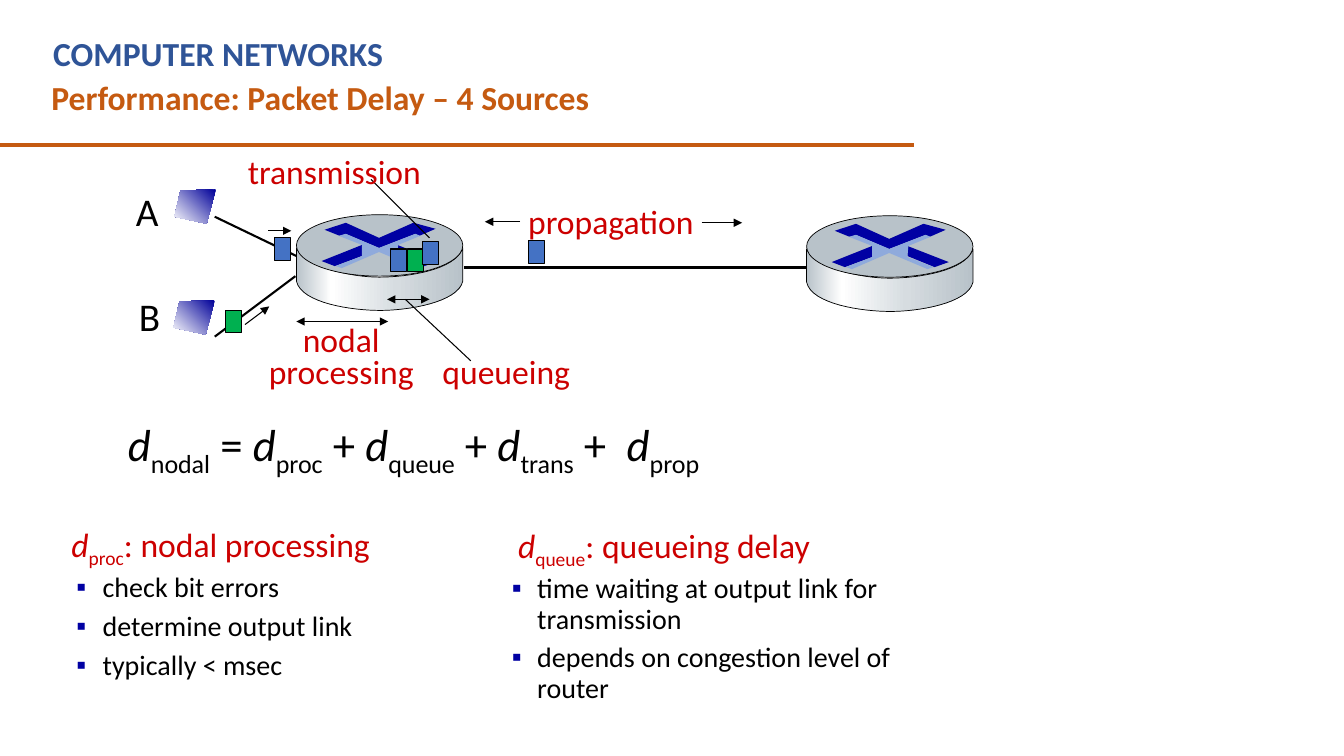
from lxml import etree
from pptx import Presentation
from pptx.dml.color import RGBColor
from pptx.enum import shapes, text
from pptx.oxml import ns
from pptx.util import Inches, Pt

ORANGE = RGBColor(0xC5, 0x5A, 0x11)
HEADING_BLUE = RGBColor(0x2F, 0x54, 0x97)
RED = RGBColor(0xCC, 0x00, 0x00)
BLACK = RGBColor(0, 0, 0)
NAVY = RGBColor(0x00, 0x00, 0xA3)
PALE_BLUE = RGBColor(0x8F, 0xAA, 0xDC)
GREY = RGBColor(0xB8, 0xC2, 0xC9)
PACKET_BLUE = RGBColor(0x44, 0x72, 0xC4)
PACKET_GREEN = RGBColor(0x00, 0xB0, 0x50)

TITLE = "Performance: Packet Delay – 4 Sources"
COURSE = "COMPUTER NETWORKS"
LABELS = [
    (["propagation"], 5.14, 1.94, 1.86, 0.5, 24, RED),
    (["nodal", "processing"], 2.56, 3.19, 1.65, 0.76, 24, RED),
    (["queueing"], 4.29, 3.43, 1.48, 0.5, 24, RED),
    (["transmission"], 2.36, 1.45, 1.93, 0.5, 24, RED),
    (["A"], 1.25, 1.81, 0.43, 0.57, 28, BLACK),
    (["B"], 1.28, 2.85, 0.42, 0.57, 28, BLACK),
]
FORMULA = [("d", "nodal"), (" = ", ""), ("d", "proc"), (" + ", ""), ("d", "queue"),
           (" + ", ""), ("d", "trans"), (" +  ", ""), ("d", "prop")]
DELAYS = [
    ("proc", ": nodal processing", 0.54, 5.15, 4.17, 2.01, 0.07, 0.38, 0.26,
     ["check bit errors", "determine output link", "typically < msec"]),
    ("queue", ": queueing delay", 4.98, 5.16, 4.67, 1.52, 0.06, 0.25, 0.25,
     ["time waiting at output link for transmission",
      "depends on congestion level of router"]),
]
LINES = [
    (-0.01, 1.44, 9.07, 1.44, 3, ORANGE, ""),
    (2.13, 2.15, 2.94, 2.54, 1.5, BLACK, ""),
    (2.13, 3.34, 2.93, 2.74, 1.5, BLACK, ""),
    (4.6, 2.65, 8, 2.65, 2, BLACK, ""),
    (6.96, 2.21, 7.36, 2.21, 0.75, BLACK, "tail"),
    (5.16, 2.2, 4.81, 2.2, 0.75, BLACK, "tail"),
    (3.85, 3.19, 2.94, 3.19, 0.75, BLACK, "head tail"),
    (4.26, 2.97, 3.84, 2.97, 0.75, BLACK, "head tail"),
    (2.66, 2.29, 2.89, 2.29, 0.75, BLACK, "tail"),
    (2.43, 3.22, 2.67, 3.04, 0.75, BLACK, "tail"),
    (4.67, 3.58, 4.02, 2.97, 0.75, BLACK, ""),
    (3.68, 1.78, 4.26, 2.36, 0.75, BLACK, ""),
]
PACKETS = [(5.24, 2.39, PACKET_BLUE), (3.87, 2.47, PACKET_BLUE), (4.04, 2.47, PACKET_GREEN),
           (4.19, 2.4, PACKET_BLUE), (2.72, 2.36, PACKET_BLUE), (2.24, 3.08, PACKET_GREEN)]
ROUTERS = [(2.94, 2.13), (8, 2.14)]
LAPTOPS = [(1.73, 1.88), (1.72, 2.98)]
LAPTOP = [(0.41, 0), (0.06, 0.01), (0, 0.27), (0.32, 0.34)]
ROUTER_SIDE = [(1.65, 0.33), (1.65, 0.66), (1.6, 0.87, 1.11, 0.95, 0.83, 0.95),
               (0.56, 0.95, 0.05, 0.88, 0, 0.66), (0, 0.33),
               (0.08, 0.52, 0.55, 0.62, 0.82, 0.62), (1.1, 0.62, 1.58, 0.55, 1.65, 0.33)]
ROUTER_MARKS = [
    (NAVY, [(1.16, 0.08), (1.38, 0.14), (1.22, 0.21), (1.18, 0.19), (0.82, 0.33), (0.49, 0.19),
            (0.43, 0.21), (0.28, 0.15), (0.49, 0.08), (0.82, 0.23)]),
    (NAVY, [(1, 0.3), (1.41, 0.46), (1.27, 0.51), (1, 0.4)]),
    (NAVY, [(0.65, 0.3), (0.65, 0.41), (0.38, 0.51), (0.25, 0.46)]),
    (PALE_BLUE, [(0.42, 0.21), (0.49, 0.19), (0.82, 0.33), (1.18, 0.19), (1.23, 0.21), (1.01, 0.3),
                 (1, 0.41), (1.26, 0.51), (1.2, 0.53), (0.82, 0.37), (0.45, 0.53), (0.39, 0.51),
                 (0.65, 0.41), (0.65, 0.3)]),
]
SIDE_STOPS = [(0, "B8C2C9"), (21, "FFFFFF"), (60, "D6DCE0"), (100, "B8C2C9")]
LAPTOP_STOPS = [(0, "000099"), (100, "FFFFFF")]

presentation = Presentation()
presentation.slide_width, presentation.slide_height = Inches(13.33), Inches(7.5)
slide = presentation.slides.add_slide(presentation.slide_layouts[5])


def child(parent, tag, **attributes):
    return etree.SubElement(parent, ns.qn(tag), attributes)


def style_font(font, size, color, bold=False):
    font.name, font.size, font.bold = "Calibri", Pt(size), bold
    font.color.rgb = color


def style_shape(shape, color=None, width=0):
    shape.shadow.inherit = False
    if color is not None:
        shape.fill.solid()
        shape.fill.fore_color.rgb = color
    if width:
        shape.line.color.rgb = BLACK
        shape.line.width = Pt(width)
    else:
        shape.line.fill.background()


def set_gradient(shape, stops, angle):
    shape.fill.gradient()
    gradient = shape._element.spPr.find(ns.qn("a:gradFill"))
    for element in list(gradient):
        gradient.remove(element)
    stop_list = child(gradient, "a:gsLst")
    for position, color in stops:
        child(child(stop_list, "a:gs", pos=str(position * 1000)), "a:srgbClr", val=color)
    child(gradient, "a:lin", ang=str(angle * 60000), scaled="0")


def add_textbox(left, top, width, height, wrap=True):
    shape = slide.shapes.add_textbox(*map(Inches, (left, top, width, height)))
    shape.text_frame.word_wrap = wrap
    return shape.text_frame


def flatten(points, steps=16):
    result = []
    for point in points:
        if len(point) == 2:
            result.append(point)
            continue
        curve = [result[-1], point[:2], point[2:4], point[4:]]
        for step in range(1, steps + 1):
            t = step / steps
            weights = ((1 - t) ** 3, 3 * t * (1 - t) ** 2, 3 * t * t * (1 - t), t ** 3)
            result.append(tuple(sum(w * p[axis] for w, p in zip(weights, curve)) for axis in (0, 1)))
    return result


def add_outline(left, top, points):
    corners = [(Inches(left + x), Inches(top + y)) for x, y in flatten(points)]
    builder = slide.shapes.build_freeform(*corners[0])
    builder.add_line_segments(corners[1:], close=True)
    return builder.convert_to_shape()


def add_router(left, top):
    side = add_outline(left, top, ROUTER_SIDE)
    style_shape(side, width=0.5)
    set_gradient(side, SIDE_STOPS, 0)
    lid = slide.shapes.add_shape(shapes.MSO_SHAPE.OVAL, *map(Inches, (left, top, 1.65, 0.61)))
    style_shape(lid, GREY, 0.5)
    for color, points in ROUTER_MARKS:
        style_shape(add_outline(left, top, points), color)


def add_line(x1, y1, x2, y2, width, color, heads):
    line = slide.shapes.add_connector(shapes.MSO_CONNECTOR.STRAIGHT, *map(Inches, (x1, y1, x2, y2)))
    line.line.color.rgb = color
    line.line.width = Pt(width)
    for end in heads.split():
        child(line.line._get_or_add_ln(), f"a:{end}End", type="triangle")
    child(line._element.spPr, "a:effectLst")


def add_symbol(paragraph, symbol, subscript):
    paragraph.add_run().text = symbol
    if subscript:
        paragraph.runs[-1].font.italic = True
        run = paragraph.add_run()
        run.text = subscript
        run._r.get_or_add_rPr().set("baseline", "-25000")


def add_delay(subscript, meaning, left, top, width, height, inset, margin, hang, points):
    frame = add_textbox(left, top, width, height)
    heading = frame.paragraphs[0]
    heading._p.get_or_add_pPr().set("marL", str(Inches(inset)))
    heading.line_spacing = 0.9
    style_font(heading.font, 24, RED)
    add_symbol(heading, "d", subscript)
    add_symbol(heading, meaning, "")
    for point in points:
        paragraph = frame.add_paragraph()
        paragraph.text = point
        paragraph.line_spacing, paragraph.space_before = 0.9, Pt(6)
        properties = paragraph._p.get_or_add_pPr()
        properties.set("marL", str(Inches(margin)))
        properties.set("indent", str(Inches(-hang)))
        child(child(properties, "a:buClr"), "a:srgbClr", val=str(NAVY))
        child(properties, "a:buFont", typeface="Arial")
        child(properties, "a:buChar", char="▪")
        style_font(paragraph.font, 20, BLACK)


title = slide.shapes.title
title.left, title.top, title.width, title.height = map(Inches, (0.41, 0.71, 8.75, 0.5))
course = add_textbox(0.43, 0.28, 8.2, 0.5)
for frame, words, color in ((title.text_frame, TITLE, ORANGE), (course, COURSE, HEADING_BLUE)):
    frame.text = words
    frame.vertical_anchor = text.MSO_ANCHOR.TOP
    frame.paragraphs[0].alignment = text.PP_ALIGN.LEFT
    style_font(frame.paragraphs[0].font, 24, color, True)

for router in ROUTERS:
    add_router(*router)
for left, top in LAPTOPS:
    laptop = add_outline(left, top, LAPTOP)
    style_shape(laptop)
    set_gradient(laptop, LAPTOP_STOPS, 135)
for line in LINES:
    add_line(*line)
for left, top, color in PACKETS:
    packet = slide.shapes.add_shape(shapes.MSO_SHAPE.RECTANGLE, *map(Inches, (left, top, 0.16, 0.22)))
    style_shape(packet, color, 0.75)

for words, left, top, width, height, size, color in LABELS:
    frame = add_textbox(left, top, width, height, wrap=False)
    frame.text = "\n".join(words)
    for paragraph in frame.paragraphs:
        if len(words) > 1:
            paragraph.alignment, paragraph.line_spacing = text.PP_ALIGN.CENTER, 0.8
        style_font(paragraph.font, size, color)

formula = add_textbox(1.17, 4.12, 6.75, 0.61).paragraphs[0]
formula.line_spacing = 0.85
style_font(formula.font, 32, BLACK)
for symbol, subscript in FORMULA:
    add_symbol(formula, symbol, subscript)
for delay in DELAYS:
    add_delay(*delay)

presentation.save("out.pptx")
